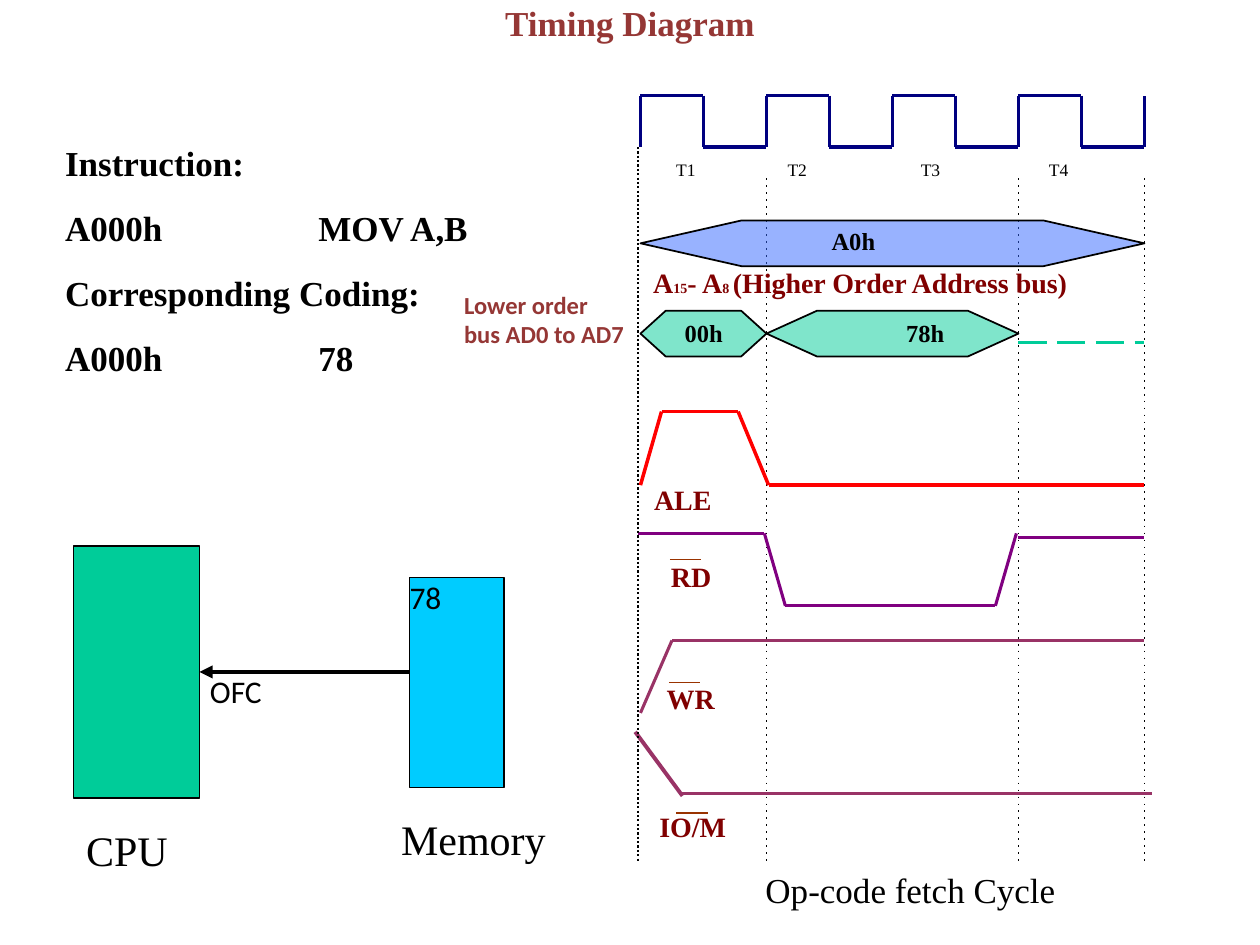
import itertools
from dataclasses import dataclass
from typing import NamedTuple

import lxml.etree
import pptx
import pptx.dml.color
import pptx.enum.shapes
import pptx.enum.text
import pptx.oxml.ns
import pptx.util

SERIF, SANS = "Times New Roman", "Calibri"
BLACK, MAROON, BRICK = "000000", "800000", "953735"
NAVY, PURPLE, PLUM, GREEN = "000080", "800080", "993366", "00CC99"
CELL = pptx.util.Inches(1) / 12  # the slide is 120 columns by 90 rows
START, PERIOD, END = 61, 12, 109  # columns of the four clock periods


class Box(NamedTuple):
    left: float
    top: float
    width: float
    height: float


class Span(NamedTuple):
    text: str
    size: float


@dataclass
class Trace:
    """A waveform through (column, row) points."""
    points: list
    color: str
    width: float = 1.75
    dash: str = ""


@dataclass
class BusState:
    """A hexagon holding the bus between two columns."""
    start: float
    end: float
    top: float
    color: str


@dataclass
class SignalLabel:
    text: str
    left: float
    top: float
    bar: tuple = ()


def cells(count: float) -> int:
    return round(count * CELL)


def hex_color(value: str):
    return pptx.dml.color.RGBColor.from_string(value)


def add_xml(parent, tag: str, **attributes):
    return lxml.etree.SubElement(parent, pptx.oxml.ns.qn(tag), **attributes)


def write(frame, *paragraphs, size=16, font=SERIF, color=BLACK, bold=False,
          align=pptx.enum.text.PP_ALIGN.LEFT, gap=0, tab=0):
    """Fill a text frame; each paragraph is a string or a list of spans.

    The gap (points) and tab (inches) apply after the first paragraph.
    """
    frame.word_wrap = True
    frame.margin_left = frame.margin_right = 0
    frame.margin_top = frame.margin_bottom = 0
    frame.vertical_anchor = pptx.enum.text.MSO_ANCHOR.TOP
    for index, content in enumerate(paragraphs):
        para = frame.add_paragraph() if index else frame.paragraphs[0]
        para.alignment = align
        if index:
            para.space_before = pptx.util.Pt(gap)
            if tab:
                stops = add_xml(para._p.get_or_add_pPr(), "a:tabLst")
                add_xml(stops, "a:tab", pos=str(pptx.util.Inches(tab)), algn="l")
        for span in [Span(content, size)] if isinstance(content, str) else content:
            run = para.add_run()
            run.text = span.text
            run.font.size = pptx.util.Pt(span.size)
            run.font.name = font
            run.font.bold = bold
            run.font.color.rgb = hex_color(color)


def add_text(page, box: Box, *paragraphs, **style):
    write(page.shapes.add_textbox(*map(cells, box)).text_frame, *paragraphs, **style)


def add_line(page, start: tuple, end: tuple, color: str, width: float, dash: str = ""):
    line = page.shapes.add_connector(pptx.enum.shapes.MSO_CONNECTOR.STRAIGHT,
                                     *map(cells, (*start, *end)))
    line.line.color.rgb = hex_color(color)
    line.line.width = pptx.util.Pt(width)
    if dash:
        add_xml(line.line._get_or_add_ln(), "a:prstDash", val=dash)
    add_xml(line._element.spPr, "a:effectLst")
    return line


def draw_trace(page, trace: Trace):
    for start, end in itertools.pairwise(trace.points):
        add_line(page, start, end, trace.color, trace.width, trace.dash)


def add_block(page, kind, box: Box, color: str):
    block = page.shapes.add_shape(kind, *map(cells, box))
    block.shadow.inherit = False
    block.fill.solid()
    block.fill.fore_color.rgb = hex_color(color)
    block.line.color.rgb = hex_color(BLACK)
    block.line.width = pptx.util.Pt(1)
    return block


def draw_bus_state(page, state: BusState):
    """Draw a half-transparent hexagon whose points take a fifth of its width."""
    box = Box(state.start, state.top, state.end - state.start, 4.35)
    hexagon = add_block(page, pptx.enum.shapes.MSO_SHAPE.HEXAGON, box, state.color)
    hexagon.adjustments[0] = box.width / 5 / box.height
    fill = hexagon._element.spPr.find(pptx.oxml.ns.qn("a:solidFill"))
    add_xml(fill[0], "a:alpha", val="50000")


def clock_points(high: float = 9.1, low: float = 14) -> list:
    points = []
    for rise in range(START, END, PERIOD):
        fall = rise + PERIOD / 2
        points += [(rise, low), (rise, high), (fall, high), (fall, low)]
    return points + [(END, low), (END, high)]


TRACES = [
    Trace(clock_points(), NAVY),
    *(Trace([(START + PERIOD * n, 17), (START + PERIOD * n, 82)], BLACK, 1, "dot")
      for n in (1, 3, 4)),
    Trace([(97, 32.6), (END, 32.6)], GREEN, 2, "lgDash"),
    Trace([(START, 46.2), (63, 39.2), (70.3, 39.2), (73.2, 46.2), (END, 46.2)],
          "FF0000", 2),
    Trace([(60.8, 50.8), (72.8, 50.8), (74.8, 57.7), (94.8, 57.7), (96.8, 50.8)], PURPLE),
    Trace([(97, 51.2), (END, 51.2)], PURPLE),
    Trace([(START, 67.9), (64, 61), (END, 61)], PLUM),
    Trace([(60.5, 69.7), (65, 75.8)], PLUM, 2.25),
    Trace([(64.7, 75.6), (109.7, 75.6)], PLUM),
    Trace([(60.8, 14), (60.8, 82)], BLACK, 1.25, "sysDot"),
]
BUS_STATES = [
    BusState(73, 97, 29.6, GREEN),
    BusState(START, 73, 29.6, GREEN),
    BusState(START, END, 21, "3366FF"),
]
SIGNAL_LABELS = [
    SignalLabel("ALE", 62.3, 46),
    SignalLabel("RD", 63.9, 53.3, (63.8, 53.3)),
    SignalLabel("WR", 63.5, 64.9, (63.7, 65)),
    SignalLabel("IO/M", 62.8, 77.1, (64.4, 77.4)),
]
CLOCK_LABELS = {"T1": 64.4, "T2": 75, "T3": 87.7, "T4": 99.9}


def draw_timing(page):
    for trace in TRACES:
        draw_trace(page, trace)
    for state in BUS_STATES:
        draw_bus_state(page, state)
    for text, left in CLOCK_LABELS.items():
        add_text(page, Box(left, 15.1, 3, 2.4), text, size=10)
    for label in SIGNAL_LABELS:
        add_text(page, Box(label.left, label.top, 7, 3.6), label.text, color=MAROON, bold=True)
        if label.bar:
            left, top = label.bar
            add_line(page, (left, top), (left + 3, top), "993300", 1)
    add_text(page, Box(79.2, 21.5, 5, 3.1), "A0h", size=14, bold=True)
    add_text(page, Box(62.2, 25.3, 41, 4),
             [Span("A", 16), Span("15", 8), Span("- A", 16), Span("8 ", 8),
              Span("(Higher Order Address bus)", 16)], color=MAROON, bold=True)
    add_text(page, Box(65.2, 30.3, 5, 3.1), "00h", size=14, bold=True)
    add_text(page, Box(86.3, 30.3, 5, 3.1), "78h", size=14, bold=True)
    add_text(page, Box(44.2, 27.6, 15.4, 6), "Lower order bus AD0 to AD7",
             size=14, font=SANS, color=BRICK, bold=True)
    add_text(page, Box(72.9, 82.7, 30, 4.3), "Op-code fetch Cycle", size=20)


def draw_fetch(page):
    rectangle = pptx.enum.shapes.MSO_SHAPE.RECTANGLE
    processor = add_block(page, rectangle, Box(7, 52, 12, 24), GREEN)
    memory = add_block(page, rectangle, Box(39, 55, 9, 20), "00CCFF")
    write(memory.text_frame, "78", size=18, font=SANS)
    arrow = add_line(page, (39, 64), (19, 64), BLACK, 2.5)
    arrow.end_connect(processor, 3)
    add_xml(arrow.line._get_or_add_ln(), "a:tailEnd", type="triangle")
    add_text(page, Box(20, 64, 19, 4), "OFC", size=18, font=SANS)
    add_text(page, Box(8.2, 78.5, 9, 5), "CPU", size=24)
    add_text(page, Box(38.2, 77.5, 15, 5), "Memory", size=24)


def main():
    deck = pptx.Presentation()
    deck.slide_width, deck.slide_height = cells(120), cells(90)
    page = deck.slides.add_slide(deck.slide_layouts[6])
    draw_timing(page)
    add_text(page, Box(6.2, 13.5, 40, 24), "Instruction:", "A000h\tMOV A,B",
             "Corresponding Coding:", "A000h\t78", size=20, bold=True, gap=13, tab=2.01)
    draw_fetch(page)
    add_text(page, Box(34.5, 0.1, 51, 4), "Timing Diagram", size=20, color=BRICK,
             bold=True, align=pptx.enum.text.PP_ALIGN.CENTER)
    deck.save("out.pptx")


if __name__ == "__main__":
    main()
